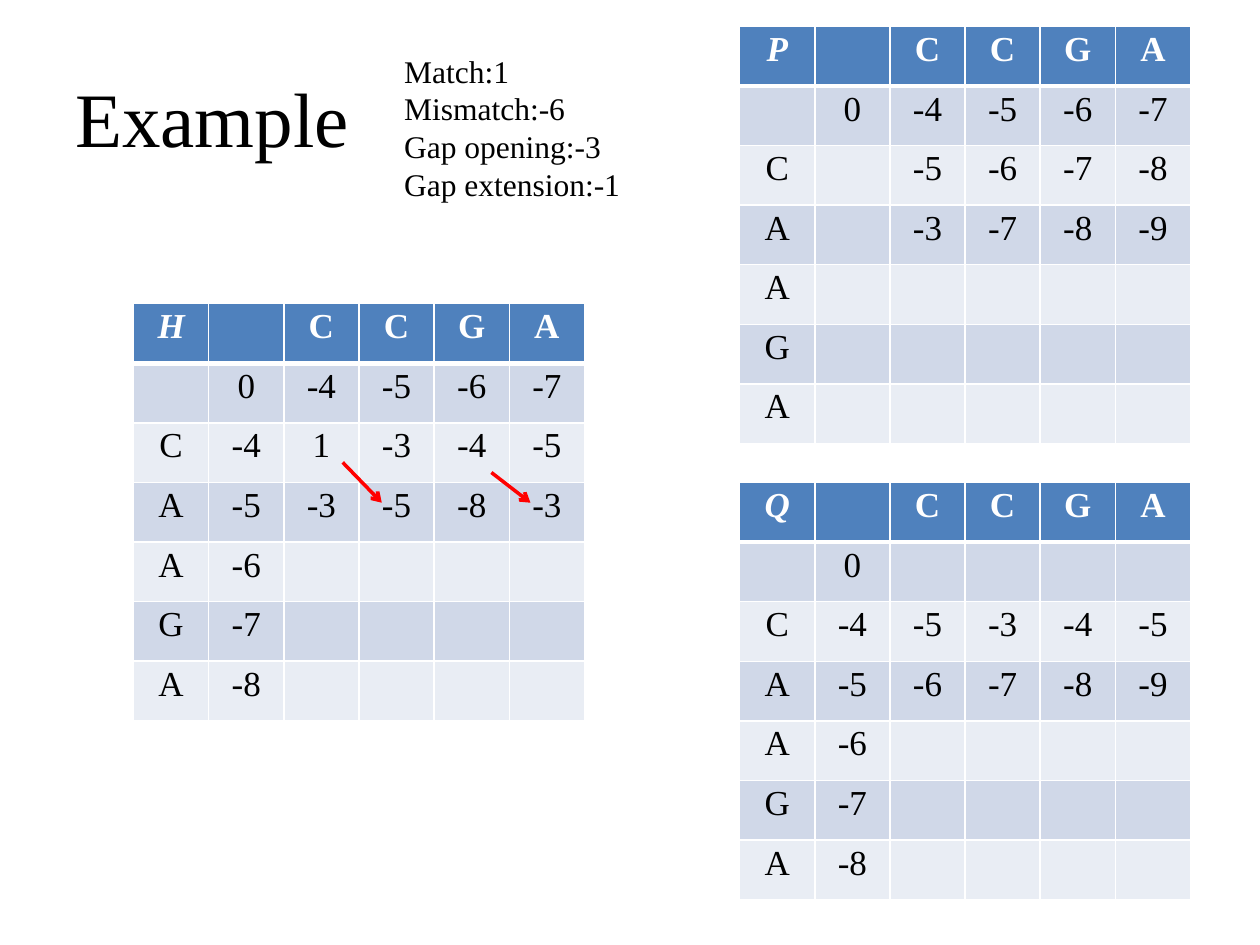
"""Build a slide with the H, P and Q matrices of an affine gap alignment."""
from lxml import etree
from pptx import Presentation, util as u
from pptx.dml.color import RGBColor
from pptx.enum import shapes, text
from pptx.oxml import ns

BASES = ["C", "C", "G", "A"]
FIRST_ROW = ["0", "-4", "-5", "-6", "-7"]
H_ROWS = [
    FIRST_ROW,
    ["-4", "1", "-3", "-4", "-5"],
    ["-5", "-3", "-5", "-8", "-3"],
    ["-6"], ["-7"], ["-8"],
]
P_ROWS = [
    FIRST_ROW,
    ["", "-5", "-6", "-7", "-8"],
    ["", "-3", "-7", "-8", "-9"],
    [], [], [],
]
Q_ROWS = [
    ["0"],
    ["-4", "-5", "-3", "-4", "-5"],
    ["-5", "-6", "-7", "-8", "-9"],
    ["-6"], ["-7"], ["-8"],
]
SIDE_LABELS = ["", "C", "A", "A", "G", "A"]
SCORES = ["Match:1", "Mismatch:-6", "Gap opening:-3", "Gap extension:-1"]


def colour(code):
    return RGBColor.from_string(code)


class SlideWriter:
    font = "Times New Roman"
    ink, paper, accent = "000000", "FFFFFF", "FF0000"
    header, bands = "4F81BD", ("D0D8E8", "E9EDF4")

    def __init__(self, page):
        self.page = page

    def style(self, font, size, code, bold=False, italic=False):
        font.name, font.size = self.font, u.Pt(size)
        font.bold, font.italic = bold, italic
        font.color.rgb = colour(code)

    def text(self, area, lines, size, anchor=text.MSO_ANCHOR.TOP, wrap=True):
        box = self.page.shapes.add_textbox(*map(u.Inches, area))
        frame = box.text_frame
        frame.word_wrap, frame.vertical_anchor = wrap, anchor
        frame.text = "\n".join(lines)
        for para in frame.paragraphs:
            self.style(para.font, size, self.ink)

    def border(self, cell, side, width):
        properties = cell._tc.get_or_add_tcPr()
        line = etree.SubElement(properties, ns.qn(f"a:ln{side}"), w=str(u.Pt(width)))
        fill = etree.SubElement(line, ns.qn("a:solidFill"))
        etree.SubElement(fill, ns.qn("a:srgbClr"), val=self.paper)

    def cell(self, cell, value, row, column):
        cell.margin_left = cell.margin_right = u.Inches(0.06)
        cell.margin_top = cell.margin_bottom = u.Inches(0.03)
        widths = {"L": 1, "R": 1, "T": 3 if row == 1 else 1, "B": 3 if row == 0 else 1}
        for side, width in widths.items():
            self.border(cell, side, width)
        cell.fill.solid()
        cell.fill.fore_color.rgb = colour(self.bands[(row - 1) % 2] if row else self.header)
        cell.text = value
        para = cell.text_frame.paragraphs[0]
        para.alignment = text.PP_ALIGN.CENTER
        code = self.ink if row else self.paper
        self.style(para.font, 20, code, bold=row == 0, italic=row == column == 0)

    def matrix(self, left, top, name, rows):
        grid = [[name, "", *BASES]]
        for label, values in zip(SIDE_LABELS, rows):
            grid.append([label, *values] + [""] * (5 - len(values)))
        area = map(u.Inches, (left, top, 3.58, 3.31))
        table = self.page.shapes.add_table(len(grid), len(grid[0]), *area).table
        for row, values in enumerate(grid):
            for column, value in enumerate(values):
                self.cell(table.cell(row, column), value, row, column)

    def arrow(self, *ends):
        connector = self.page.shapes.add_connector(
            shapes.MSO_CONNECTOR.STRAIGHT, *map(u.Inches, ends))
        connector.line.color.rgb = colour(self.accent)
        connector.line.width = u.Pt(2)
        line = connector.line._get_or_add_ln()
        etree.SubElement(line, ns.qn("a:tailEnd"), type="arrow")
        etree.SubElement(connector._element.spPr, ns.qn("a:effectLst"))


def main():
    deck = Presentation()
    deck.slide_width, deck.slide_height = u.Inches(10), u.Inches(7.5)
    writer = SlideWriter(deck.slides.add_slide(deck.slide_layouts[6]))
    writer.text((0.5, 0.3, 9, 1.25), ["Example"], 44, text.MSO_ANCHOR.MIDDLE)
    writer.matrix(1.06, 2.41, "H", H_ROWS)
    writer.text((3.11, 0.36, 1.93, 1.31), SCORES, 18, wrap=False)
    writer.matrix(5.87, 0.21, "P", P_ROWS)
    writer.matrix(5.87, 3.83, "Q", Q_ROWS)
    writer.arrow(2.72, 3.67, 3.03, 3.99)
    writer.arrow(3.9, 3.75, 4.21, 3.99)
    deck.save("out.pptx")


if __name__ == "__main__":
    main()
